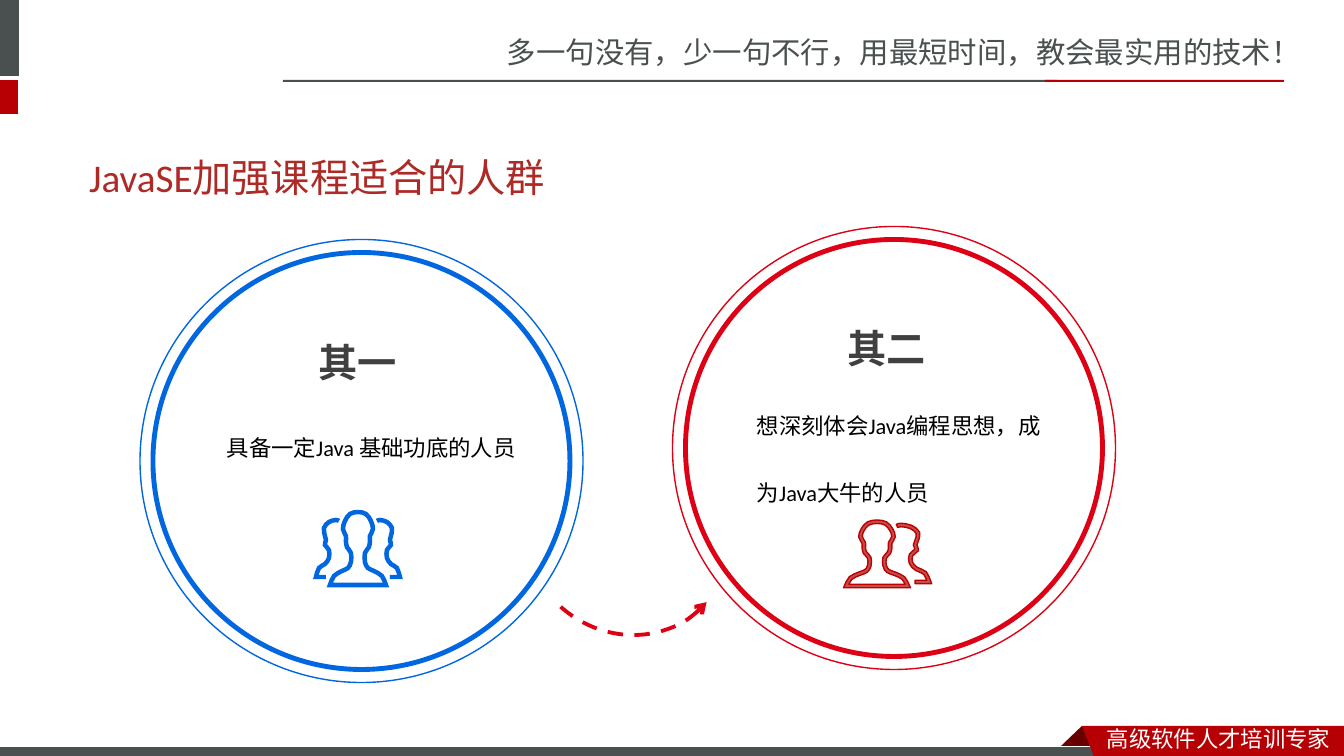
import math

import pptx
import pptx.util
import pptx.dml.color
import pptx.enum.dml
import pptx.enum.shapes
import pptx.enum.text
import pptx.oxml
import pptx.oxml.ns

SHAPE = pptx.enum.shapes.MSO_SHAPE
EMU_PER_PX = 914400 / 100.8
GREY, RED, DARK_RED = "49504F", "B60004", "680000"
BLUE, SCARLET = "0067E1", "DE0014"
CJK_FONT = "Noto Sans CJK SC"

# Right half of a bust, as offsets from the top of its axis
BUST = [(0, 2), (8, 4), (13, 11), (15, 19), (12, 26), (12, 31), (11, 37),
        (7, 43), (7, 52), (10, 58), (16, 61), (24, 66), (28, 75)]
# Person standing behind the bust, as offsets from the start of the head
BEHIND = [(0, 1), (3, 0), (10, 2), (15, 8), (14, 16), (13, 20), (14, 25),
          (10, 30), (10, 38), (14, 44), (20, 48), (23, 57)]


def px(value):
    return pptx.util.Emu(round(value * EMU_PER_PX))


def rgb(hex_text):
    return pptx.dml.color.RGBColor.from_string(hex_text)


def paint(sp, fill=None, line=None, width=1):
    sp.shadow.inherit = False
    if fill:
        sp.fill.solid()
        sp.fill.fore_color.rgb = rgb(fill)
    else:
        sp.fill.background()
    if line:
        sp.line.color.rgb = rgb(line)
        sp.line.width = pptx.util.Pt(width)
    else:
        sp.line.fill.background()
    return sp


def add_preset(s, kind, x, y, w, h, **style):
    return paint(s.shapes.add_shape(kind, px(x), px(y), px(w), px(h)), **style)


def add_outline(s, *contours, **style):
    contours = [[(px(x), px(y)) for x, y in points] for points in contours]
    builder = s.shapes.build_freeform(*contours[0][0], scale=1.0)
    builder.add_line_segments(contours[0][1:])
    for points in contours[1:]:
        builder.move_to(*points[0])
        builder.add_line_segments(points[1:])
    return paint(builder.convert_to_shape(), **style)


def write(tf, text, size, color, font, bold=False, spacing=None):
    p = tf.paragraphs[0]
    p.text = text
    p.alignment = pptx.enum.text.PP_ALIGN.LEFT
    p.line_spacing = spacing
    p.font.size = pptx.util.Pt(size)
    p.font.bold = bold
    p.font.name = font
    p.font.color.rgb = rgb(color)
    ea = pptx.oxml.parse_xml(
        f'<a:ea {pptx.oxml.ns.nsdecls("a")} typeface="{CJK_FONT}"/>')
    p.font._element.append(ea)


def add_text(s, x, y, w, h, text, size, color, font, wrap=True, **style):
    tf = s.shapes.add_textbox(px(x), px(y), px(w), px(h)).text_frame
    tf.word_wrap = wrap
    write(tf, text, size, color, font, **style)


def smooth(points):
    """Add the Catmull-Rom midpoint between each pair of points."""
    padded = [points[0], *points, points[-1]]
    curve = []
    for a, b, c, d in zip(padded, padded[1:], padded[2:], padded[3:]):
        middle = tuple((9 * (q + r) - o - u) / 16 for o, q, r, u in zip(a, b, c, d))
        curve += [b, middle]
    return curve + [points[-1]]


def shift(points, distance, closed):
    """Move a contour sideways, with mitred corners."""
    ends = points[1:] + points[:1]
    normals = []
    for (x1, y1), (x2, y2) in zip(points, ends):
        length = math.hypot(x2 - x1, y2 - y1)
        normals.append(((y2 - y1) / length, (x1 - x2) / length))
    before = normals[-1:] + normals[:-1]
    if not closed:
        before[0] = normals[0]
        normals[-1] = before[-1]
    moved = []
    for (x, y), (ax, ay), (bx, by) in zip(points, before, normals):
        k = distance / (1 + ax * bx + ay * by)
        moved.append((x + k * (ax + bx), y + k * (ay + by)))
    return moved


def place(points, x, y, sx, sy):
    return [(x + sx * dx, y + sy * dy) for dx, dy in points]


def bust_band(x, y, sx, sy, width):
    left = [(-dx, dy) for dx, dy in reversed(BUST)]
    curve = place(smooth(left + BUST[1:]), x, y, sx, sy)
    return [shift(curve, side * width / 2, True) for side in (1, -1)]


def behind_band(x, y, sx, sy, width):
    curve = place(smooth(BEHIND) + [(13, 57)], x, y, sx, sy)
    return shift(curve, width / 2, False) + shift(curve, -width / 2, False)[::-1]


def add_ring(s, cx, cy, color):
    for diameter, width in ((417, 3.5), (443, 1)):
        add_preset(s, SHAPE.OVAL, cx - diameter / 2, cy - diameter / 2,
                   diameter, diameter, line=color, width=width)


def add_dashed_arrow(s):
    arc = add_preset(s, SHAPE.ARC, 528, 428, 197, 211, line=SCARLET, width=2.75)
    arc.adjustments[1] = 4.06
    arc.rotation = 310.6
    xfrm = arc._element.spPr.xfrm
    xfrm.set("flipH", "1")
    xfrm.set("flipV", "1")
    arc.line.dash_style = pptx.enum.dml.MSO_LINE.DASH
    arc.line._get_or_add_ln().append(pptx.oxml.parse_xml(
        f'<a:headEnd {pptx.oxml.ns.nsdecls("a")} type="arrow"/>'))


def add_frame(s):
    # Header
    add_text(s, 497, 29, 847, 47, "多一句没有，少一句不行，用最短时间，教会最实用的技术！",
             21, GREY, CJK_FONT)
    for x, y, w, h, color in ((-6, 0, 25, 76, GREY), (-6, 80, 24, 34, RED),
                              (283, 80, 774, 2, GREY), (1045, 80, 239, 2, RED)):
        add_preset(s, SHAPE.RECTANGLE, x, y, w, h, fill=color)
    # Footer ribbon
    add_outline(s, [(1082, 726), (1104, 748), (1103, 749), (1060, 749),
                    (1059, 748)], fill=DARK_RED)
    add_preset(s, SHAPE.RECTANGLE, -1, 747, 1109, 12, fill=GREY,
               line="FFFFFF", width=0.75)
    add_outline(s, [(1082, 726), (1344, 726), (1344, 760), (1095, 759)], fill=RED)
    add_text(s, 1097, 720, 247, 37, "高级软件人才培训专家", 16, "FFFFFF", CJK_FONT)


def main():
    prs = pptx.Presentation()
    prs.slide_width, prs.slide_height = px(1344), px(756)
    s = prs.slides.add_slide(prs.slide_layouts[5])
    add_frame(s)

    # Title
    title = s.shapes.title
    title.left, title.top, title.width, title.height = map(px, (79, 148, 1184, 57))
    title.text_frame.vertical_anchor = pptx.enum.text.MSO_ANCHOR.MIDDLE
    write(title.text_frame, "JavaSE加强课程适合的人群", 28, "AD2A26", "Calibri")

    # Two audiences
    add_ring(s, 361.5, 461, BLUE)
    add_ring(s, 894, 448, SCARLET)
    for x, y, heading in ((309, 333, "其一"), (838, 319, "其二")):
        add_text(s, x, y, 100, 57, heading, 28, "404040", "Lato",
                 wrap=False, bold=True)
    add_text(s, 217, 421, 324, 42, "具备一定Java 基础功底的人员", 16, "000000",
             "Calibri", spacing=1.3)
    add_text(s, 747, 367, 304, 135, "想深刻体会Java编程思想，成为Java大牛的人员", 16,
             "000000", "Calibri", spacing=2.5)
    add_dashed_arrow(s)

    # People icons
    add_outline(s, *bust_band(358, 510, 1, 1, 4.5),
                *[behind_band(358 + side * 19, 520, side, 1, 4.5)
                  for side in (-1, 1)], fill=BLUE)
    add_outline(s, *bust_band(877, 520, 1.1, 0.88, 3.5),
                behind_band(897, 525, 1.4, 1, 3.5),
                fill="C0504D", line="C00000", width=1)

    prs.save("out.pptx")


main()
